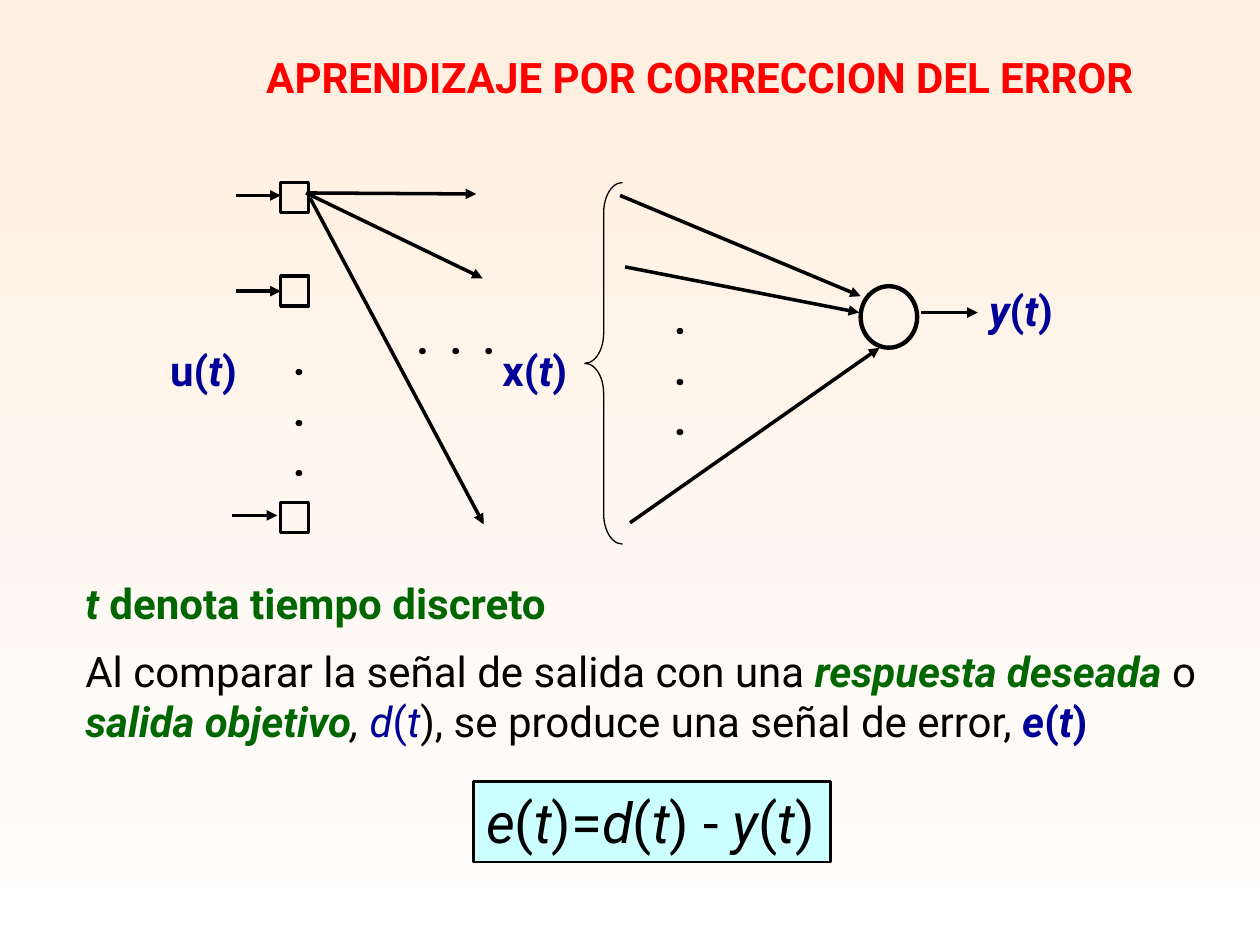
from lxml.etree import SubElement
from pptx import Presentation
from pptx.dml.color import RGBColor as RGB
from pptx.enum.shapes import MSO_CONNECTOR as CONN, MSO_SHAPE as SHAPE
from pptx.enum.text import MSO_ANCHOR as ANCHOR, MSO_AUTO_SIZE as AUTO, PP_ALIGN as ALIGN
from pptx.oxml.ns import qn
from pptx.util import Cm, Pt

COLORS = {"red": "FF0000", "green": "006600", "blue": "000099", "black": "000000",
          "cyan": "CCFFFF", "peach": "FFEFDF", "white": "FEFEFE"}
RGBS = {name: RGB.from_string(value) for name, value in COLORS.items()}

prs = Presentation()
prs.slide_width, prs.slide_height = Cm(25.4), Cm(19.05)
s = prs.slides.add_slide(prs.slide_layouts[6])
bg = s.background.fill
bg.gradient()
bg.gradient_angle = 270
for stop, name in zip(bg.gradient_stops, ("peach", "white")):
    stop.color.rgb = RGBS[name]


def write(sp, paragraphs, size=24, wrap=False, space=0, align=ALIGN.LEFT):
    tf = sp.text_frame
    frame = {"word_wrap": wrap, "auto_size": AUTO.SHAPE_TO_FIT_TEXT, "vertical_anchor": ANCHOR.TOP,
             "margin_left": Cm(0.25), "margin_right": Cm(0.25),
             "margin_top": Cm(0.13), "margin_bottom": Cm(0.13)}
    for key, value in frame.items():
        setattr(tf, key, value)
    for i, runs in enumerate(paragraphs):
        p = tf.add_paragraph() if i else tf.paragraphs[0]
        p.alignment = align
        p.space_before, p.space_after = Pt(space if i else 0), Pt(space)
        for text, color, style in runs:
            r = p.add_run()
            r.text = text
            font = {"name": "Roboto", "size": Pt(size), "bold": "b" in style, "italic": "i" in style}
            for key, value in font.items():
                setattr(r.font, key, value)
            r.font.color.rgb = RGBS[color]
    return tf


def shape(kind, box, width, fill=None):
    sp = s.shapes.add_shape(kind, *map(Cm, box))
    sp.shadow.inherit = False
    if fill:
        sp.fill.solid()
        sp.fill.fore_color.rgb = RGBS[fill]
    else:
        sp.fill.background()
    sp.line.color.rgb = RGBS["black"]
    sp.line.width = Pt(width)
    return sp


title = s.shapes.add_textbox(Cm(0), Cm(0.91), Cm(25.4), Cm(4.01))
tf = write(title, [[("APRENDIZAJE POR CORRECCION DEL ERROR", "red", "b")]],
           wrap=True, space=5, align=ALIGN.CENTER)
tf.auto_size = AUTO.NONE
pPr = tf.paragraphs[0]._p.get_or_add_pPr()
pPr.set("marL", str(Cm(3.53)))
pPr.set("indent", str(Cm(-0.71)))

formula = shape(SHAPE.RECTANGLE, (9.55, 15.75, 7.19, 1.63), 1.5, "cyan")
parts = ["e", "(", "t", ")=", "d", "(", "t", ") - ", "y", "(", "t", ")"]
write(formula, [[(part, "black", "i" if part.isalpha() else "") for part in parts]], size=32, space=5)

body = s.shapes.add_textbox(Cm(1.47), Cm(11.51), Cm(23.29), Cm(3.66))
write(body, [
    [("t", "green", "bi"), (" denota tiempo discreto", "green", "b")],
    [("Al comparar la señal de salida con una ", "black", ""),
     ("respuesta deseada ", "green", "bi"), ("o ", "black", ""),
     ("salida objetivo", "green", "bi"), (", ", "black", "i"),
     ("d", "blue", "i"), ("(", "blue", ""), ("t", "blue", "i"),
     ("), se produce una señal de error, ", "black", ""),
     ("e", "blue", "bi"), ("(", "blue", "b"), ("t", "blue", "bi"), (")", "blue", "b")],
], wrap=True, space=5)

shape(SHAPE.OVAL, (17.35, 5.77, 1.14, 1.24), 2.5)
for top in (3.68, 5.56, 10.13):
    shape(SHAPE.RECTANGLE, (5.66, top, 0.56, 0.61), 2)
brace = shape(SHAPE.LEFT_BRACE, (11.79, 3.68, 0.76, 7.29), 0.75)
brace.adjustments[0] = 0.8
brace.adjustments[1] = 0.5

arrows = [
    (4.75, 3.94, 5.66, 3.94), (4.75, 5.87, 5.66, 5.87), (4.67, 10.39, 5.59, 10.39),
    (6.25, 3.89, 9.6, 3.91), (6.17, 3.89, 9.73, 5.61), (6.25, 3.99, 9.75, 10.57),
    (12.5, 3.94, 17.35, 5.97), (12.6, 5.38, 17.32, 6.3), (12.7, 10.54, 17.73, 7.01),
    (18.57, 6.3, 19.71, 6.3),
]
for ends in arrows:
    arrow = s.shapes.add_connector(CONN.STRAIGHT, *map(Cm, ends))
    arrow.line.color.rgb = RGBS["black"]
    arrow.line.width = Pt(2)
    SubElement(arrow.line._get_or_add_ln(), qn("a:tailEnd"), type="triangle")
    SubElement(arrow._element.spPr, qn("a:effectLst"))

for name, style, left, top in [("u", "b", 3.18, 6.81), ("x", "b", 9.88, 6.81), ("y", "bi", 19.69, 5.61)]:
    label = s.shapes.add_textbox(Cm(left), Cm(top), Cm(1.9), Cm(1.27))
    write(label, [[(name, "blue", style), ("(", "blue", "b"), ("t", "blue", "bi"), (")", "blue", "b")]])

for left, top in [(5.66, 6.6), (13.34, 5.77)]:
    dots = s.shapes.add_textbox(Cm(left), Cm(top), Cm(0.74), Cm(3.3))
    write(dots, [[(".", "black", "b")]] * 3)

ellipsis = s.shapes.add_textbox(Cm(8.15), Cm(6.17), Cm(2.67), Cm(1.27))
tf = write(ellipsis, [[(". . .", "black", "b")]], wrap=True)
tf.paragraphs[0].runs[0].font._element.set("spc", "300")

prs.save("out.pptx")
